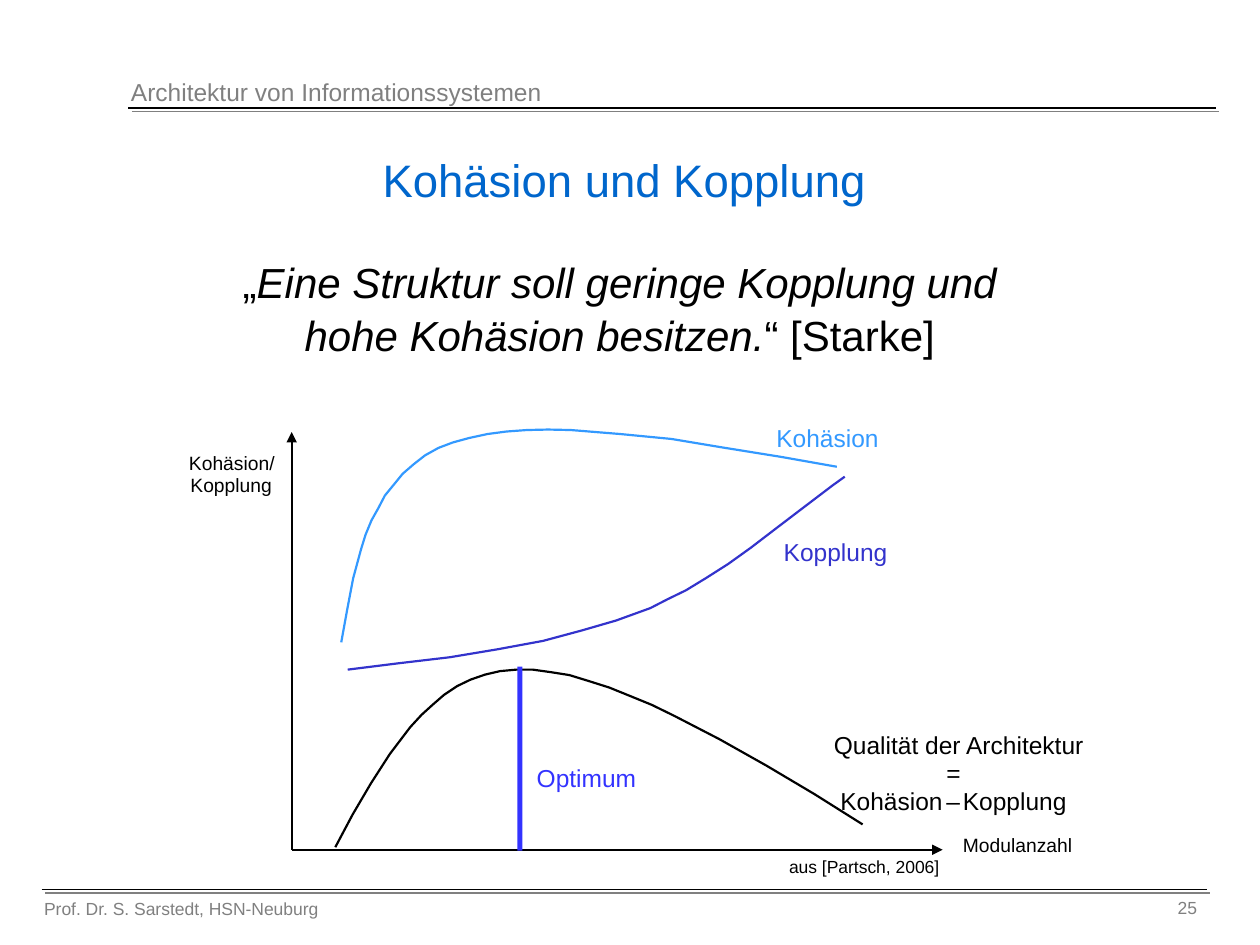
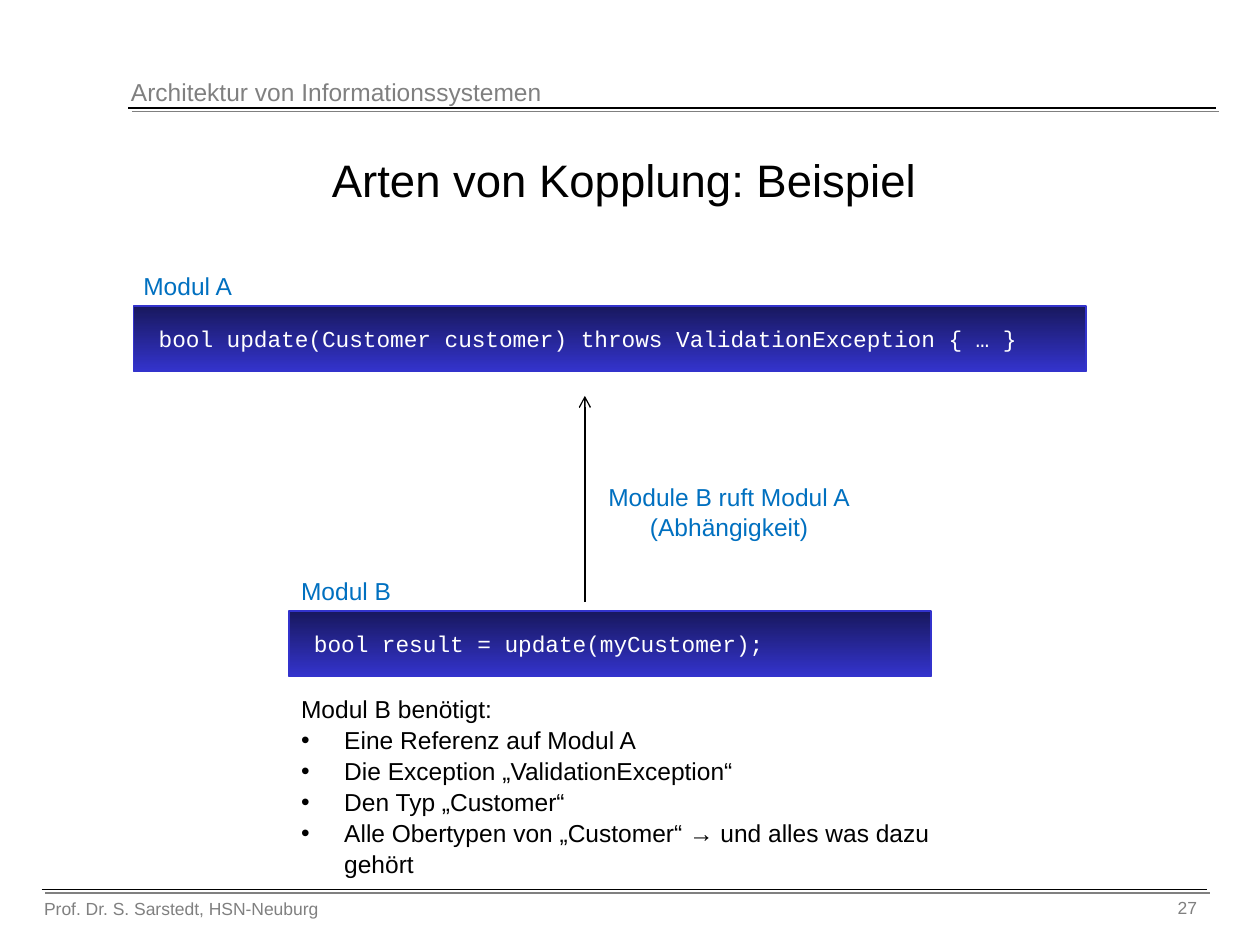
from lxml import etree
from pptx import Presentation
from pptx.dml.color import RGBColor
from pptx.enum.shapes import MSO_CONNECTOR, MSO_SHAPE
from pptx.enum.text import MSO_ANCHOR, PP_ALIGN
from pptx.oxml import parse_xml
from pptx.oxml.ns import nsdecls, qn
from pptx.util import Cm, Pt

STRAIGHT = MSO_CONNECTOR.STRAIGHT
RECTANGLE = MSO_SHAPE.RECTANGLE
LEFT, CENTER, RIGHT = PP_ALIGN.LEFT, PP_ALIGN.CENTER, PP_ALIGN.RIGHT
TOP, MIDDLE = MSO_ANCHOR.TOP, MSO_ANCHOR.MIDDLE

COLORS = {name: RGBColor.from_string(value) for name, value in {
    "black": "000000",
    "white": "FFFFFF",
    "grey": "808080",
    "title_blue": "0066CC",
    "label_blue": "0070C0",
    "cohesion": "3399FF",
    "coupling": "3333CC",
    "optimum": "3333FF",
    "code_dark": "18185E",
}.items()}

SHADOW = (f'<a:effectLst {nsdecls("a")}><a:outerShdw dist="35921" dir="2700000" '
          'algn="ctr" rotWithShape="0"><a:srgbClr val="808080"/></a:outerShdw></a:effectLst>')
NO_SHADOW = f'<a:effectLst {nsdecls("a")}/>'


def write(shape, text, size, color="black", align=LEFT, font="Arial",
          margins=(0.25, 0.13), anchor=TOP, spacing=1.0):
    """Fill a shape with text: \\n breaks a line, parts between asterisks are italic."""
    frame = shape.text_frame
    across, down = (Cm(margin) for margin in margins)
    settings = {"word_wrap": True, "vertical_anchor": anchor,
                "margin_left": across, "margin_right": across,
                "margin_top": down, "margin_bottom": down}
    for name, value in settings.items():
        setattr(frame, name, value)
    para = frame.paragraphs[0]
    para.alignment, para.line_spacing = align, spacing
    for part_index, part in enumerate(text.split("*")):
        for line_index, line in enumerate(part.split("\n")):
            if line_index:
                para.add_line_break()
            span = para.add_run()
            span.text = line
            look = {"name": font, "size": Pt(size), "italic": part_index % 2 == 1}
            for name, value in look.items():
                setattr(span.font, name, value)
            span.font.color.rgb = COLORS[color]


def add_line(page, start, end, width=0.75, head=None, effect=NO_SHADOW):
    line = page.shapes.add_connector(STRAIGHT, *map(Cm, start + end))
    line.line.color.rgb = COLORS["black"]
    line.line.width = Pt(width)
    if head:
        etree.SubElement(line.line._get_or_add_ln(), qn("a:tailEnd"), type=head)
    line._element.spPr.append(parse_xml(effect))


deck = Presentation()
deck.slide_width, deck.slide_height = Cm(25.4), Cm(19.05)

# Both slides: title, header, footer and their rules
pages = []
for title, title_color, number in [
    ("Kohäsion und Kopplung", "title_blue", "25"),
    ("Arten von Kopplung: Beispiel", "black", "27"),
]:
    page = deck.slides.add_slide(deck.slide_layouts[5])
    pages.append(page)
    add_line(page, (2.59, 2.18), (24.51, 2.18), effect=SHADOW)
    add_line(page, (0.84, 17.93), (24.33, 17.93), effect=SHADOW)
    for text, bounds, size, align in [
        ("Prof. Dr. S. Sarstedt, HSN-Neuburg", (0.64, 17.98, 11.43, 0.69), 10, LEFT),
        ("Architektur von Informationssystemen", (2.39, 1.42, 17.81, 0.86), 14, LEFT),
        (number, (21.79, 17.96, 2.59, 0.79), 10, RIGHT),
    ]:
        write(page.shapes.add_textbox(*map(Cm, bounds)), text, size, "grey", align)
    heading = page.shapes.title
    heading.left, heading.top, heading.width, heading.height = map(Cm, (0.84, 2.97, 23.5, 1.27))
    write(heading, title, 26, title_color, CENTER, anchor=MIDDLE)

trade_off, example = pages

# Slide 1: cohesion and coupling against the number of modules
quote = trade_off.shapes.add_textbox(*map(Cm, (2.69, 5, 19.61, 2.31)))
write(quote, "„*Eine Struktur soll geringe Kopplung und\nhohe Kohäsion besitzen.*“ [Starke]",
      24, align=CENTER, spacing=1.05)
reference = trade_off.shapes.add_textbox(*map(Cm, (15.52, 17.12, 3.8, 0.69)))
write(reference, "aus [Partsch, 2006]", 10, align=CENTER)

origin = (5.88, 17.13)
for axis_end in [(5.88, 8.71), (19, 17.13)]:
    add_line(trade_off, origin, axis_end, 1.25, "triangle")

# Curve points in hundredths of a centimetre
curves = {
    "cohesion": [
        (688, 1295), (700, 1229), (712, 1166), (728, 1107), (737, 1078), (749, 1049),
        (763, 1024), (776, 999), (794, 977), (812, 955), (834, 936), (857, 918),
        (884, 903), (913, 892), (946, 883), (983, 875), (1021, 870), (1062, 867),
        (1105, 866), (1151, 867), (1250, 875), (1354, 885), (1462, 903), (1574, 921),
        (1687, 941)],
    "black": [
        (676, 1708), (711, 1642), (748, 1579), (786, 1520), (827, 1466), (850, 1441),
        (872, 1421), (895, 1401), (922, 1383), (949, 1370), (978, 1360), (1008, 1353),
        (1041, 1350), (1074, 1350), (1110, 1355), (1148, 1361), (1187, 1373),
        (1228, 1386), (1270, 1403), (1314, 1421), (1359, 1443), (1450, 1490),
        (1546, 1544), (1642, 1601), (1739, 1662)],
    "coupling": [
        (701, 1350), (805, 1337), (907, 1325), (1003, 1309), (1095, 1292), (1173, 1271),
        (1242, 1251), (1311, 1226), (1346, 1208), (1383, 1190), (1424, 1165),
        (1468, 1137), (1514, 1104), (1561, 1068), (1624, 1020), (1678, 979), (1703, 961)],
}
for color, points in curves.items():
    builder = trade_off.shapes.build_freeform(*points[0], scale=Cm(0.01))
    builder.add_line_segments(points[1:], close=False)
    curve = builder.convert_to_shape()
    curve.shadow.inherit = False
    curve.fill.background()
    curve.line.color.rgb = COLORS[color]
    curve.line.width = Pt(1.25)

optimum = trade_off.shapes.add_shape(RECTANGLE, *map(Cm, (10.43, 13.44, 0.1, 3.71)))
optimum.shadow.inherit = False
optimum.fill.solid()
optimum.fill.fore_color.rgb = COLORS["optimum"]
optimum.line.fill.background()

for text, left, top, width, size, color in [
    ("Modulanzahl", 19.41, 16.79, 2.64, 11, "black"),
    ("Kohäsion", 15.65, 8.53, 2.31, 14, "cohesion"),
    ("Qualität der Architektur", 16.81, 14.71, 5.49, 14, "black"),
    ("=", 19.08, 15.29, 0.53, 14, "black"),
    ("Kohäsion", 16.94, 15.85, 2.46, 14, "black"),
    ("–", 19.08, 15.85, 0.51, 14, "black"),
    ("Kopplung", 19.41, 15.85, 2.34, 14, "black"),
    ("Kopplung", 15.8, 10.82, 2.34, 14, "coupling"),
    ("Optimum", 10.82, 15.39, 2.26, 14, "optimum"),
    ("Kohäsion/", 3.81, 9.09, 2.11, 11, "black"),
    ("Kopplung", 3.84, 9.55, 2.01, 11, "black"),
]:
    height = 0.66 if size == 14 else 0.58
    label = trade_off.shapes.add_textbox(*map(Cm, (left, top, width, height)))
    write(label, text, size, color, margins=(0, 0))

# Slide 2: module B calls module A
for module, code, left, top, width, label_left in [
    ("Modul A", "bool update(Customer customer) throws ValidationException { … }",
     2.69, 6.17, 19.2, 2.64),
    ("Modul B", "bool result = update(myCustomer);", 5.82, 12.32, 12.95, 5.82),
]:
    code_box = example.shapes.add_shape(RECTANGLE, *map(Cm, (left, top, width, 1.32)))
    code_box.shadow.inherit = False
    code_box.fill.gradient()
    code_box.fill.gradient_angle = 270
    for stop, color in zip(code_box.fill.gradient_stops, ("code_dark", "coupling")):
        stop.color.rgb = COLORS[color]
    code_box.line.color.rgb = COLORS["coupling"]
    code_box.line.width = Pt(1)
    write(code_box, code, 13, "white", font="Courier New", margins=(0.51, 0.38))
    module_label = example.shapes.add_textbox(*map(Cm, (label_left, top - 0.84, 2.4, 0.86)))
    write(module_label, module, 14, "label_blue")

add_line(example, (11.79, 12.14), (11.79, 7.98), head="arrow")
call_label = example.shapes.add_textbox(*map(Cm, (11.9, 9.55, 5.6, 1.45)))
write(call_label, "Module B ruft Modul A\n(Abhängigkeit)", 14, "label_blue", CENTER, spacing=1.05)

needs = example.shapes.add_textbox(*map(Cm, (5.82, 13.84, 14.38, 3.25)))
write(needs, "Modul B benötigt:", 14, spacing=1.05)
for need in [
    "Eine Referenz auf Modul A",
    "Die Exception „ValidationException“",
    "Den Typ „Customer“",
    "Alle Obertypen von „Customer“ → und alles was dazu gehört",
]:
    para = needs.text_frame.add_paragraph()
    para.line_spacing = 1.05
    span = para.add_run()
    span.text = need
    span.font.name, span.font.size = "Arial", Pt(14)
    span.font.color.rgb = COLORS["black"]
    properties = para._p.get_or_add_pPr()
    properties.set("marL", str(Cm(0.87)))
    properties.set("indent", str(Cm(-0.87)))
    etree.SubElement(properties, qn("a:buFont"), typeface="Arial")
    etree.SubElement(properties, qn("a:buChar"), char="•")

deck.save("out.pptx")
